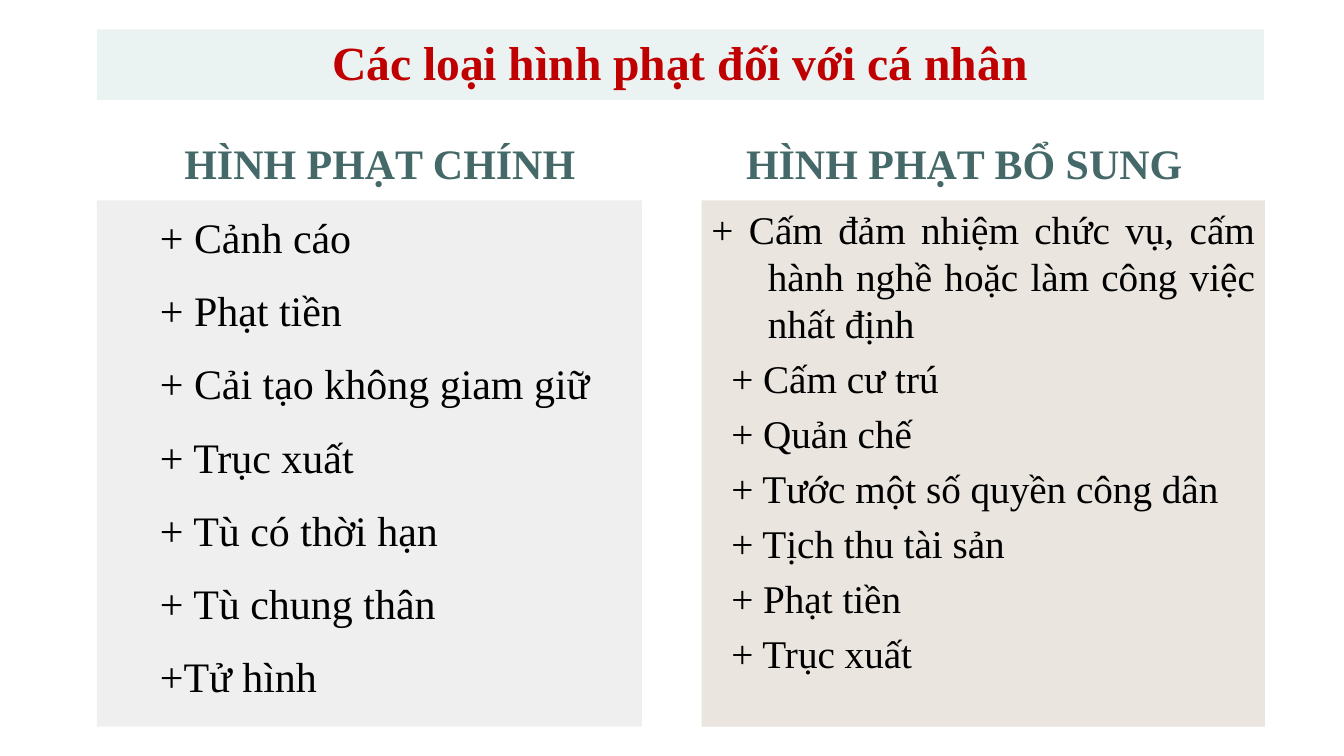
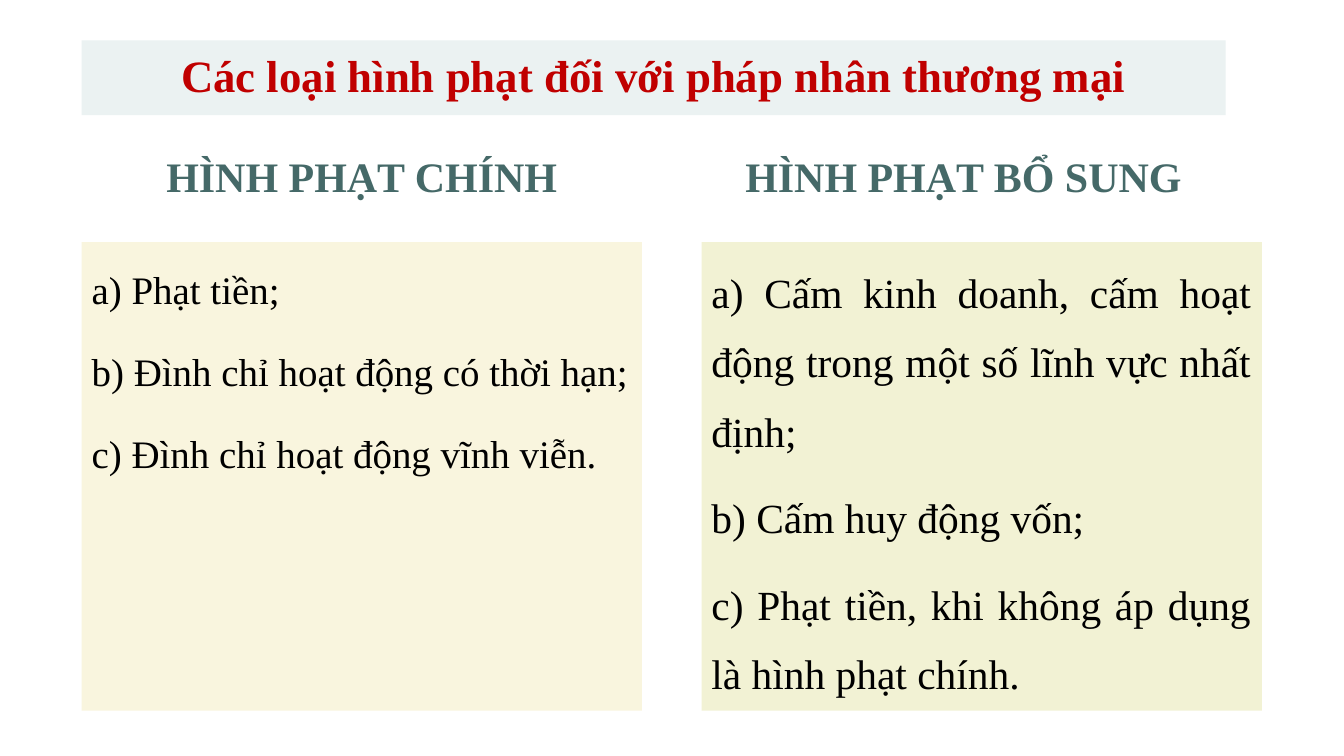
from pptx import Presentation
from pptx.dml.color import RGBColor
from pptx.enum import shapes, text
from pptx.util import Cm, Pt

COLORS = {
    "band": "EBF2F2", "title": "C00000", "heading": "456968", "body": "000000",
    "gray": "EEEFEE", "sand": "EAE5DF", "cream": "F9F5DE", "lime": "F2F2D4",
}
FONT = "Times New Roman"
HEADING_HEIGHT = 1.78
RIGHT_LEFT = 17.68
HANGING = (1.42, -1.42)
MAIN, EXTRA = "HÌNH PHẠT CHÍNH", "HÌNH PHẠT BỔ SUNG"

SLIDES = [
    {
        "title": "Các loại hình phạt đối với cá nhân",
        "title_size": 34,
        "title_box": (2.44, 0.74, 29.41, 1.78),
        "heading_top": 3.28, "panel_top": 5.05, "panel_height": 13.26,
        "columns": [
            {
                "heading": MAIN, "heading_span": (2.97, 13.21),
                "panel_span": (2.44, 13.74), "fill": "gray",
                "size": 30, "spacing": 1.12, "before": 12, "indent": (1.34, 0),
                "items": ["+ Cảnh cáo", "+ Phạt tiền", "+ Cải tạo không giam giữ",
                          "+ Trục xuất", "+ Tù có thời hạn", "+ Tù chung thân",
                          "+Tử hình"],
            },
            {
                "heading": EXTRA, "heading_span": (17.7, 13.21),
                "panel_span": (RIGHT_LEFT, 14.2), "fill": "sand",
                "size": 28, "spacing": 1.0, "before": 5.6, "indent": (0.5, 0),
                "first_indent": HANGING,
                "items": ["+ Cấm đảm nhiệm chức vụ, cấm hành nghề hoặc làm công việc nhất định",
                          "+ Cấm cư trú", "+ Quản chế", "+ Tước một số quyền công dân",
                          "+ Tịch thu tài sản", "+ Phạt tiền", "+ Trục xuất"],
            },
        ],
    },
    {
        "title": "Các loại hình phạt đối với pháp nhân thương mại",
        "title_size": 32,
        "title_box": (2.06, 1.02, 28.83, 1.88),
        "heading_top": 3.63, "panel_top": 6.1, "panel_height": 11.81,
        "columns": [
            {
                "heading": MAIN, "heading_span": (2.06, 14.12),
                "panel_span": (2.06, 14.12), "fill": "cream",
                "size": 27.8, "spacing": 1.4, "before": 12, "indent": (0, 0),
                "items": ["a) Phạt tiền;", "b) Đình chỉ hoạt động có thời hạn;",
                          "c) Đình chỉ hoạt động vĩnh viễn."],
            },
            {
                "heading": EXTRA, "heading_span": (RIGHT_LEFT, 13.21),
                "panel_span": (RIGHT_LEFT, 14.12), "fill": "lime",
                "size": 29.6, "spacing": 1.4, "before": 12, "indent": (0, 0),
                "items": ["a) Cấm kinh doanh, cấm hoạt động trong một số lĩnh vực nhất định;",
                          "b) Cấm huy động vốn;",
                          "c) Phạt tiền, khi không áp dụng là hình phạt chính."],
            },
        ],
    },
]


def rgb(name):
    return RGBColor.from_string(COLORS[name])


def add_block(slide, box, fill=None):
    place = [Cm(length) for length in box]
    if fill is None:
        block = slide.shapes.add_textbox(*place)
    else:
        block = slide.shapes.add_shape(shapes.MSO_SHAPE.RECTANGLE, *place)
        block.shadow.inherit = False
        block.fill.solid()
        block.fill.fore_color.rgb = rgb(fill)
        block.line.fill.background()
    block.text_frame.word_wrap = True
    return block.text_frame


def style(paragraph, color, size, bold, **layout):
    for name, value in layout.items():
        setattr(paragraph, name, value)
    for name, value in {"name": FONT, "size": Pt(size), "bold": bold}.items():
        setattr(paragraph.font, name, value)
    paragraph.font.color.rgb = rgb(color)


def add_caption(slide, box, words, color, size, fill=None):
    frame = add_block(slide, box, fill)
    frame.vertical_anchor = text.MSO_ANCHOR.MIDDLE
    frame.text = words
    style(frame.paragraphs[0], color, size, True,
          alignment=text.PP_ALIGN.CENTER, line_spacing=0.9)


def add_panel(slide, box, column):
    frame = add_block(slide, box, column["fill"])
    frame.vertical_anchor = text.MSO_ANCHOR.TOP
    for index, item in enumerate(column["items"]):
        paragraph = frame.add_paragraph() if index else frame.paragraphs[0]
        paragraph.text = item
        indent = column["indent"] if index else column.get("first_indent", column["indent"])
        properties = paragraph._p.get_or_add_pPr()
        for name, length in zip(("marL", "indent"), indent):
            properties.set(name, str(int(Cm(length))))
        style(paragraph, "body", column["size"], False,
              alignment=text.PP_ALIGN.JUSTIFY, line_spacing=column["spacing"],
              space_before=Pt(column["before"] if index else 0))


def main():
    deck = Presentation()
    deck.slide_width, deck.slide_height = Cm(33.87), Cm(19.05)
    for content in SLIDES:
        slide = deck.slides.add_slide(deck.slide_layouts[6])
        add_caption(slide, content["title_box"], content["title"],
                    "title", content["title_size"], "band")
        for column in content["columns"]:
            left, width = column["heading_span"]
            add_caption(slide, (left, content["heading_top"], width, HEADING_HEIGHT),
                        column["heading"], "heading", 30)
            left, width = column["panel_span"]
            add_panel(slide, (left, content["panel_top"], width, content["panel_height"]),
                      column)
    deck.save("out.pptx")


if __name__ == "__main__":
    main()
